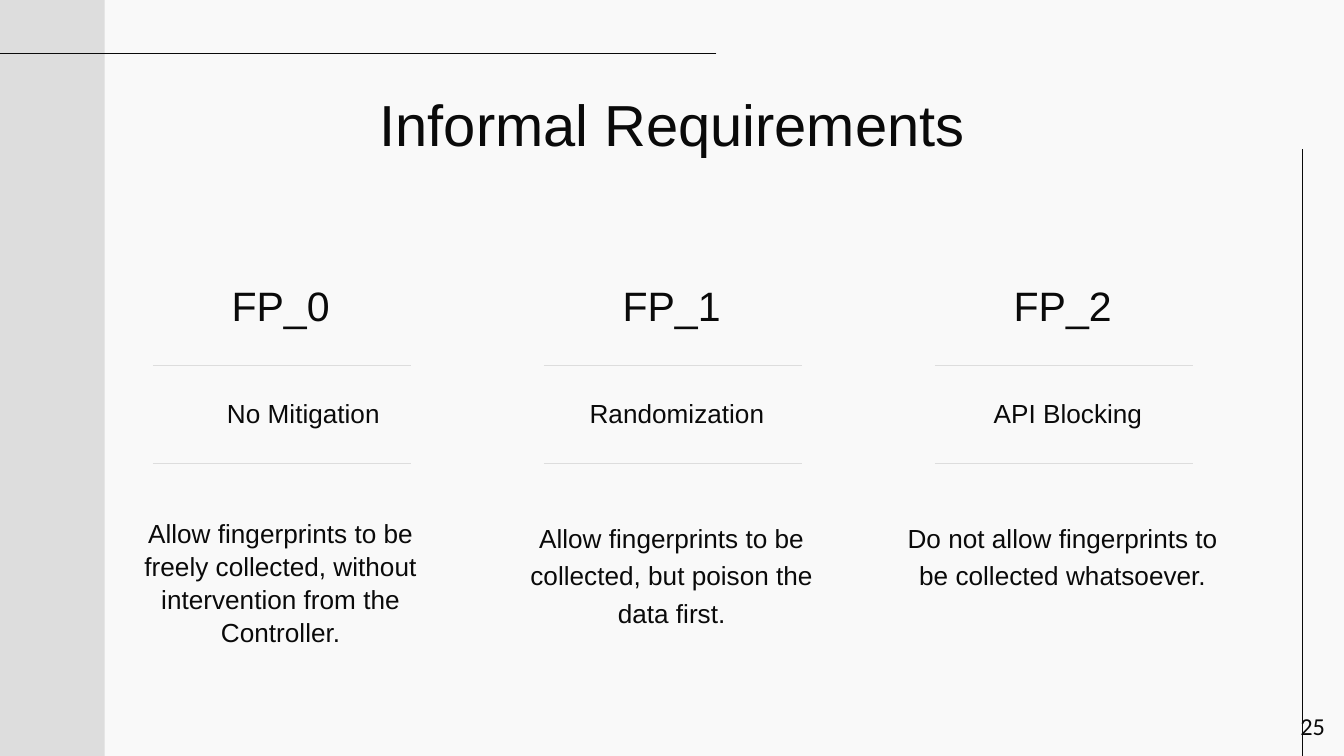
from lxml.etree import SubElement
from pptx import Presentation
from pptx.dml.color import RGBColor
from pptx.enum.shapes import MSO_CONNECTOR, MSO_SHAPE
from pptx.enum.text import MSO_ANCHOR, MSO_AUTO_SIZE, PP_ALIGN
from pptx.oxml.ns import qn
from pptx.util import Cm, Pt

COLORS = {"back": "F9F9F9", "band": "DDDDDD", "ink": "0A0A0A"}
WIDTH, HEIGHT = 25.4, 14.29
COL_LEFT, COL_TOP, COL_WIDTH, COL_PITCH = 1.98, 4.95, 6.65, 7.39

# Heading, subtitle, subtitle shift, description, description spacing
COLUMNS = [
    ("FP_0", "No Mitigation", 0.43,
     "Allow fingerprints to be freely collected, without intervention from the Controller.", 1.05),
    ("FP_1", "Randomization", 0.1,
     "Allow fingerprints to be collected, but poison the data first.", 1.2),
    ("FP_2", "API Blocking", 0.1,
     "Do not allow fingerprints to be collected whatsoever.", 1.2),
]


def rgb(name):
    return RGBColor.from_string(COLORS[name])


def set_attrs(obj, values):
    for name, value in values.items():
        setattr(obj, name, value)


def write(sp, text, size, spacing=1.0, font="Arial",
          align=PP_ALIGN.CENTER, anchor=MSO_ANCHOR.TOP):
    tf = sp.text_frame
    margins = {f"margin_{side}": Cm(0.25) for side in ("left", "top", "right", "bottom")}
    set_attrs(tf, {**margins, "word_wrap": True, "vertical_anchor": anchor,
                   "auto_size": MSO_AUTO_SIZE.NONE})
    p = tf.paragraphs[0]
    set_attrs(p, {"alignment": align, "line_spacing": spacing})
    r = p.add_run()
    r.text = text
    set_attrs(r.font, {"name": font, "size": Pt(size)})
    r.font.color.rgb = rgb("ink")


def add_text(s, box, text, size, **style):
    write(s.shapes.add_textbox(*map(Cm, box)), text, size, **style)


def add_line(s, x1, y1, x2, y2, color):
    line = s.shapes.add_connector(MSO_CONNECTOR.STRAIGHT, *map(Cm, (x1, y1, x2, y2)))
    line.line.color.rgb = rgb(color)
    line.line.width = Pt(0.75)
    SubElement(line._element.spPr, qn("a:effectLst"))


def add_frame(s, width, height):
    # Side band and the two frame lines
    band = s.shapes.add_shape(MSO_SHAPE.RECTANGLE, 0, 0, Cm(COL_LEFT), Cm(height))
    band.shadow.inherit = False
    band.fill.solid()
    band.fill.fore_color.rgb = rgb("band")
    band.line.fill.background()
    add_line(s, 13.54, 1.01, 0, 1.01, "ink")
    add_line(s, width - 0.79, 2.82, width - 0.79, height, "ink")


def add_title(s, box, text):
    title = s.shapes.title
    set_attrs(title, dict(zip(("left", "top", "width", "height"), map(Cm, box))))
    write(title, text, 31, spacing=1.1)


def add_column(s, left, top, width, column):
    heading, subtitle, shift, description, spacing = column
    add_text(s, (left, top, width, 1.65), heading, 22, spacing=1.1)
    # Rules above and below the subtitle
    for y in (top + 1.96, top + 3.81):
        add_line(s, left + 0.91, y, left + width - 0.87, y, "band")
    add_text(s, (left + shift, top + 2.29, width, 1.52), subtitle, 14, spacing=1.05)
    add_text(s, (left, top + 4.55, width, 3.33), description, 14, spacing=spacing)


def main():
    prs = Presentation()
    prs.slide_width, prs.slide_height = Cm(WIDTH), Cm(HEIGHT)
    s = prs.slides.add_slide(prs.slide_layouts[5])
    s.background.fill.solid()
    s.background.fill.fore_color.rgb = rgb("back")

    add_frame(s, WIDTH, HEIGHT)
    add_title(s, (COL_LEFT, 1.3, WIDTH - 2 * COL_LEFT, 1.52), "Informal Requirements")
    for i, column in enumerate(COLUMNS):
        add_column(s, COL_LEFT + i * COL_PITCH, COL_TOP, COL_WIDTH, column)

    # Slide number
    add_text(s, (23.77, 13.18, 1.52, 1.09), "25", 13, font="Calibri",
             align=PP_ALIGN.RIGHT, anchor=MSO_ANCHOR.MIDDLE)
    prs.save("out.pptx")


if __name__ == "__main__":
    main()
